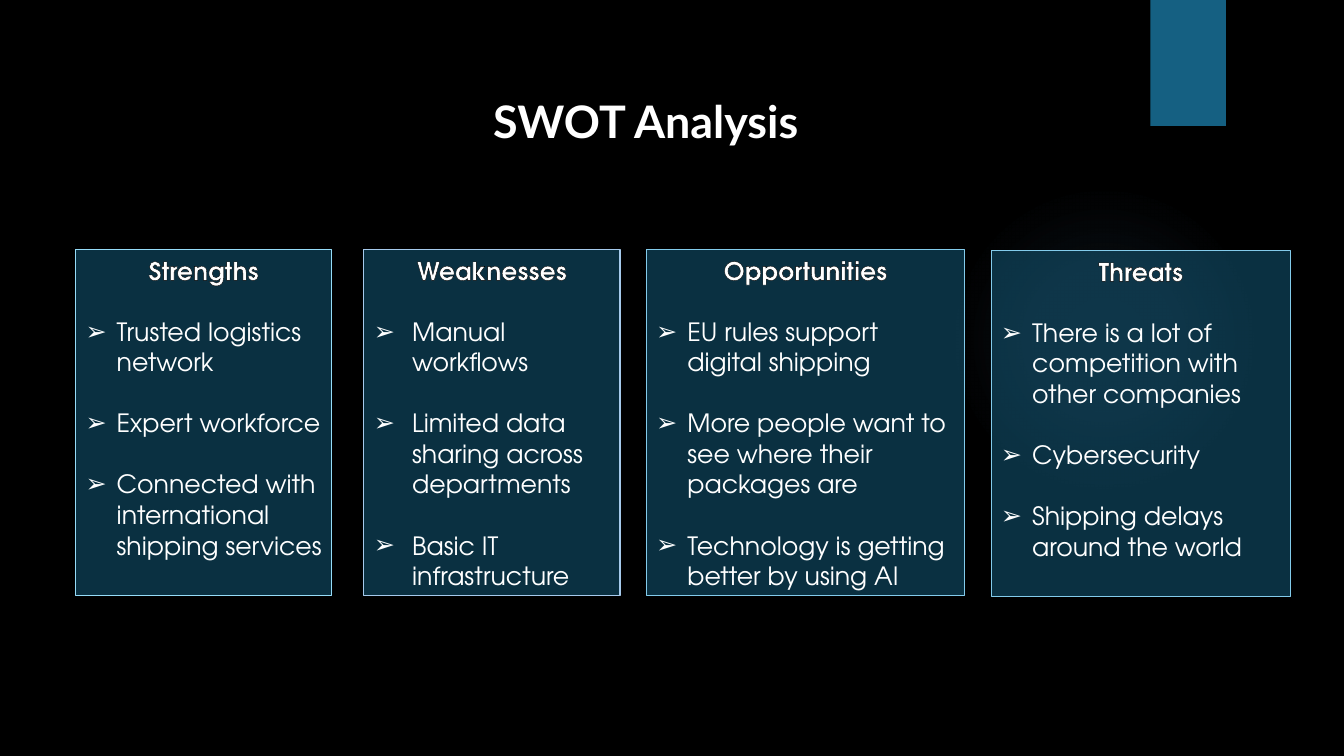
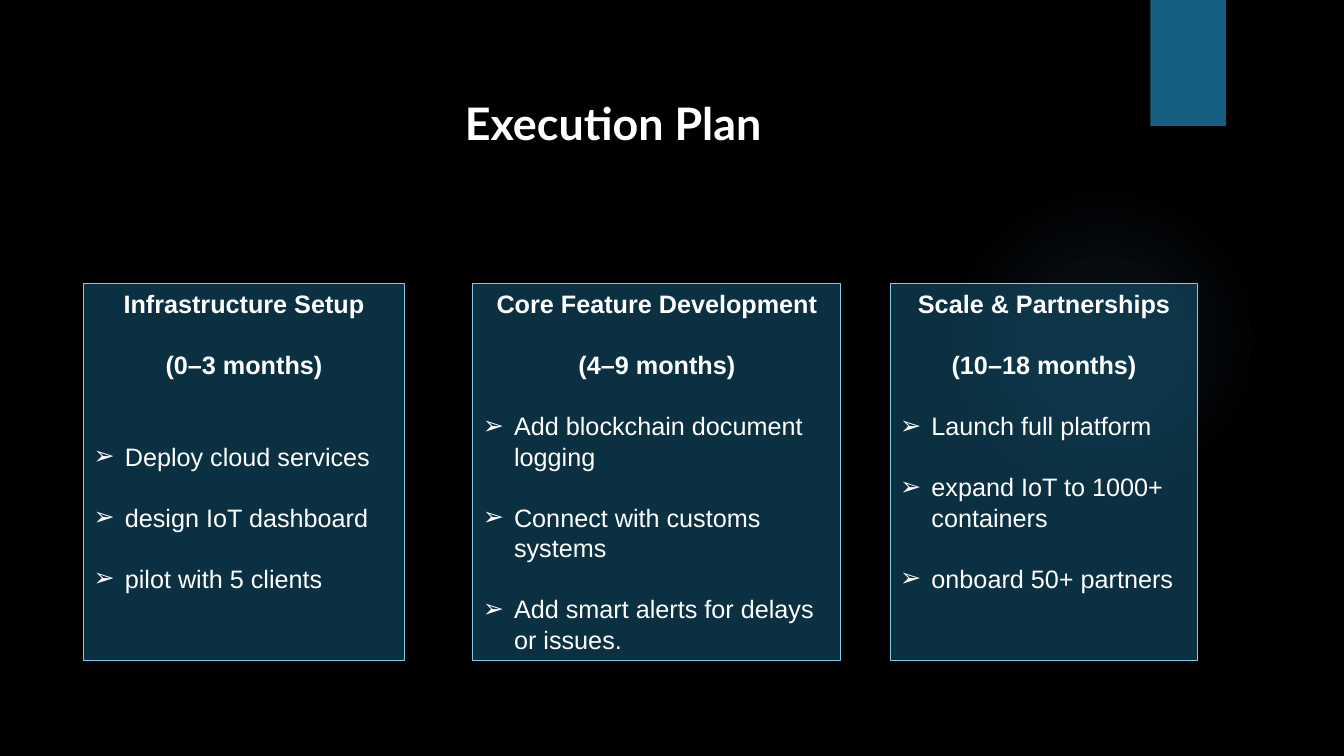
"""Build the SWOT analysis and execution plan slides."""
from lxml import etree
from pptx import Presentation
from pptx.dml.color import RGBColor
from pptx.enum.shapes import MSO_SHAPE
from pptx.enum.text import MSO_ANCHOR, MSO_AUTO_SIZE, PP_ALIGN
from pptx.oxml import parse_xml
from pptx.oxml.ns import qn
from pptx.util import Inches, Pt

COLORS = {
    "background": "000000",
    "text": "FFFFFF",
    "teal": "156082",
    "glow": "71AAE0",
    "pale": "96DCF8",
    "lilac": "A6CAEC",
    "sky": "83CBEB",
}
NAMESPACE = 'xmlns:a="http://schemas.openxmlformats.org/drawingml/2006/main"'
LINE_PITCH = 21.8

SLIDES = [
    {
        "title": "SWOT Analysis", "title_at": (4.79, 0.88, 3.76, 0.64),
        "font": "TeX Gyre Adventor", "outlined": True, "height": 3.43,
        "panels": [
            (0.75, 2.48, 2.54, "pale", 0.31, 1, ["Strengths"],
             ["Trusted logistics network", "Expert workforce",
              "Connected with international shipping services"]),
            (3.61, 2.48, 2.54, "lilac", 0.38, 1, ["Weaknesses"],
             ["Manual workflows", "Limited data sharing across departments",
              "Basic IT infrastructure"]),
            (6.41, 2.48, 3.16, "sky", 0.31, 1, ["Opportunities"],
             ["EU rules support digital shipping",
              "More people want to see where their packages are",
              "Technology is getting better by using AI"]),
            (9.83, 2.49, 2.97, "sky", 0.31, 1, ["Threats"],
             ["There is a lot of competition with other companies",
              "Cybersecurity", "Shipping delays around the world"]),
        ],
    },
    {
        "title": "Execution Plan", "title_at": (4.51, 0.9, 3.83, 0.64),
        "font": "Arial", "outlined": False, "height": 3.74,
        "panels": [
            (0.83, 2.81, 3.18, "sky", 0.31, 2,
             ["Infrastructure Setup", "(0–3 months)"],
             ["Deploy cloud services", "design IoT dashboard",
              "pilot with 5 clients"]),
            (4.69, 2.81, 3.65, "sky", 0.31, 1,
             ["Core Feature Development", "(4–9 months)"],
             ["Add blockchain document logging", "Connect with customs systems",
              "Add smart alerts for delays or issues."]),
            (8.83, 2.81, 3.05, "sky", 0.31, 1,
             ["Scale & Partnerships", "(10–18 months)"],
             ["Launch full platform", "expand IoT to 1000+ containers",
              "onboard 50+ partners"]),
        ],
    },
]


def rgb(name):
    return RGBColor.from_string(COLORS[name])


def add_block(page, kind, place, fill):
    block = page.shapes.add_shape(kind, *map(Inches, place))
    block.shadow.inherit = False
    block.fill.solid()
    block.fill.fore_color.rgb = rgb(fill)
    block.line.fill.background()
    return block


deck = Presentation()
deck.slide_width, deck.slide_height = Inches(13.33), Inches(7.5)
layout = deck.slide_layouts[5]
layout.background.fill.solid()
layout.background.fill.fore_color.rgb = rgb("background")
pages = [deck.slides.add_slide(layout) for content in SLIDES]

glow = add_block(pages[0], MSO_SHAPE.OVAL, (9.41, 1.83, 3.08, 3.08), "glow")
stops = "".join(
    f'<a:gs pos="{position * 1000}"><a:srgbClr val="{COLORS["glow"]}">'
    f'<a:alpha val="{alpha * 1000}"/></a:srgbClr></a:gs>'
    for position, alpha in [(0, 7), (36, 6), (69, 0)]
)
gradient = parse_xml(
    f'<a:gradFill {NAMESPACE}><a:gsLst>{stops}</a:gsLst><a:path path="circle">'
    '<a:fillToRect l="50000" t="50000" r="50000" b="50000"/></a:path></a:gradFill>'
)
solid = glow.element.spPr.find(qn("a:solidFill"))
solid.getparent().replace(solid, gradient)
ribbon = add_block(pages[0], MSO_SHAPE.RECTANGLE, (11.41, 0, 0.75, 1.25), "teal")
for index, shape in enumerate([glow, ribbon], start=2):
    layout.shapes.element.insert(index, shape.element)

for page, content in zip(pages, SLIDES):
    title = page.shapes.title
    title.left, title.top, title.width, title.height = map(Inches, content["title_at"])
    title.text_frame.text = content["title"]
    title.text_frame.vertical_anchor = MSO_ANCHOR.TOP
    title.text_frame.auto_size = MSO_AUTO_SIZE.NONE
    para = title.text_frame.paragraphs[0]
    para.alignment = PP_ALIGN.LEFT
    para.font.name, para.font.size, para.font.bold = "Lato", Pt(32), True
    para.font.color.rgb = rgb("text")

    for left, top, width, border, indent, lead, headings, items in content["panels"]:
        box = add_block(page, MSO_SHAPE.RECTANGLE,
                        (left, top, width, content["height"]), "teal")
        tint = box.element.spPr.find(qn("a:solidFill"))[0]
        etree.SubElement(tint, qn("a:alpha"), val="50000")
        box.line.color.rgb = rgb(border)
        box.line.width = Pt(0.75)
        frame = box.text_frame
        frame.word_wrap = True
        frame.vertical_anchor = MSO_ANCHOR.TOP

        for number, text in enumerate(headings + items):
            is_heading = number < len(headings)
            para = frame.paragraphs[0] if number == 0 else frame.add_paragraph()
            span = para.add_run()
            span.text = text
            para.alignment = PP_ALIGN.CENTER if is_heading else PP_ALIGN.LEFT
            para.line_spacing = Pt(LINE_PITCH)
            if number:
                gap = lead if number == len(headings) else 1
                para.space_before = Pt(LINE_PITCH * gap)
            if not is_heading:
                properties = para._p.get_or_add_pPr()
                properties.set("marL", str(Inches(indent)))
                properties.set("indent", str(-Inches(indent)))
                etree.SubElement(properties, qn("a:buFont"), typeface="Arial")
                etree.SubElement(properties, qn("a:buChar"), char="➢")
            elif content["outlined"]:
                span._r.get_or_add_rPr().insert(0, parse_xml(
                    f'<a:ln {NAMESPACE} w="13462"><a:solidFill><a:srgbClr '
                    f'val="{COLORS["background"]}"/></a:solidFill></a:ln>'
                ))
            para.font.name, para.font.size = content["font"], Pt(18)
            para.font.bold = is_heading
            para.font.color.rgb = rgb("text")

deck.save("out.pptx")
